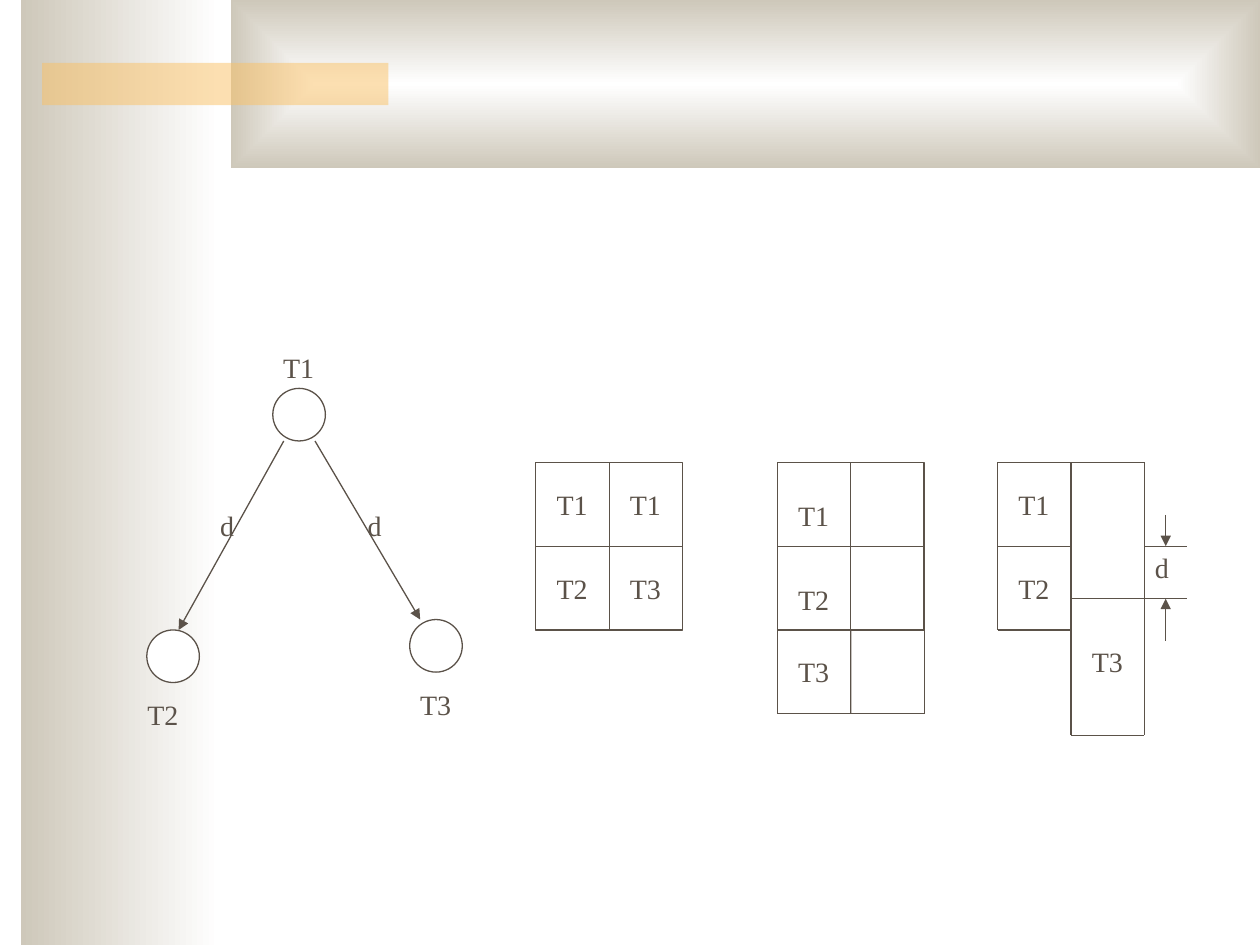
from pptx import Presentation
from pptx.dml.color import RGBColor
from pptx.enum.shapes import MSO_CONNECTOR, MSO_SHAPE
from pptx.enum.text import MSO_AUTO_SIZE
from pptx.oxml import parse_xml
from pptx.oxml.ns import nsdecls, qn
from pptx.oxml.xmlchemy import OxmlElement
from pptx.util import Cm, Pt

RECT = MSO_SHAPE.RECTANGLE
NODE = MSO_SHAPE.FLOWCHART_CONNECTOR
STRAIGHT = MSO_CONNECTOR.STRAIGHT
FIT_TEXT = MSO_AUTO_SIZE.SHAPE_TO_FIT_TEXT

WHITE = RGBColor(0xFF, 0xFF, 0xFF)
SAND = RGBColor(0xCE, 0xC8, 0xBA)
AMBER = RGBColor(0xFA, 0xC1, 0x64)
INK = RGBColor(0x5B, 0x52, 0x49)

FONT = "Times New Roman"
NODE_SIZE = 1.06
COL, ROW = 1.48, 1.69
PAD_X, PAD_Y = 0.17, 0.38
TOP, LEFT, BOTTOM, RIGHT = range(4)


def add_shape(s, kind, x, y, w, h):
    sp = s.shapes.add_shape(kind, Cm(x), Cm(y), Cm(w), Cm(h))
    sp.shadow.inherit = False
    sp.line.fill.background()
    return sp


def add_outlined(s, kind, x, y, w, h):
    sp = add_shape(s, kind, x, y, w, h)
    sp.fill.solid()
    sp.fill.fore_color.rgb = WHITE
    sp.line.color.rgb = INK
    sp.line.width = Pt(0.75)
    return sp


def add_line(s, x1, y1, x2, y2, arrow=False):
    cn = s.shapes.add_connector(STRAIGHT, Cm(x1), Cm(y1), Cm(x2), Cm(y2))
    cn.line.color.rgb = INK
    cn.line.width = Pt(0.75)
    if arrow:
        tail = OxmlElement("a:tailEnd")
        tail.set("type", "triangle")
        cn.line._get_or_add_ln().append(tail)
    cn._element.spPr.append(OxmlElement("a:effectLst"))
    return cn


def add_label(s, text, x, y):
    width = 1.16 if len(text) > 1 else 0.82
    tf = s.shapes.add_textbox(Cm(x), Cm(y), Cm(width), Cm(0.94)).text_frame
    tf.word_wrap = False
    tf.auto_size = FIT_TEXT
    r = tf.paragraphs[0].add_run()
    r.text = text
    r.font.name = FONT
    r.font.size = Pt(16)
    r.font.color.rgb = INK


def add_gradient(sp):
    sp.fill.gradient()
    sp.fill.gradient_angle = 180
    for stop, color in zip(sp.fill.gradient_stops, (WHITE, SAND)):
        stop.color.rgb = color


def add_backdrop(s, x, y, w, h):
    side = add_shape(s, RECT, x + 0.42, y, 4.02, h)
    add_gradient(side)

    banner = add_shape(s, RECT, x + 4.66, y, w - 4.66, 3.39)
    add_gradient(banner)
    grad = banner._element.spPr.find(qn("a:gradFill"))
    grad.replace(grad.find(qn("a:lin")), parse_xml(
        f'<a:path {nsdecls("a")} path="rect">'
        '<a:fillToRect l="50000" t="50000" r="50000" b="50000"/></a:path>'))

    bar = add_shape(s, RECT, x + 0.85, y + 1.27, 6.98, 0.85)
    bar.fill.solid()
    bar.fill.fore_color.rgb = AMBER
    alpha = OxmlElement("a:alpha")
    alpha.set("val", "50000")
    bar._element.spPr.find(qn("a:solidFill"))[0].append(alpha)


def add_tree(s, x, y):
    for dx, dy in ((2.78, 0.9), (5.54, 5.56), (0.24, 5.77)):
        add_outlined(s, NODE, x + dx, y + dy, NODE_SIZE, NODE_SIZE)
    for x1, x2, y2 in ((3, 0.88, 5.77), (3.63, 5.75, 5.56)):
        add_line(s, x + x1, y + 1.96, x + x2, y + y2, arrow=True)
    for text, dx, dy in (("T1", 2.74, 0.01), ("T2", 0, 7.01),
                         ("T3", 5.5, 6.8), ("d", 1.47, 3.2), ("d", 4.44, 3.2)):
        add_label(s, text, x + dx, y + dy)


def add_grid(s, x, y):
    box = add_outlined(s, RECT, x, y, 2 * COL, 2 * ROW)
    across = add_line(s, x, y + ROW, x + 2 * COL, y + ROW)
    across.begin_connect(box, LEFT)
    across.end_connect(box, RIGHT)
    down = add_line(s, x + COL, y, x + COL, y + 2 * ROW)
    down.begin_connect(box, TOP)
    down.end_connect(box, BOTTOM)
    return box


def add_parallel_schedule(s, x, y):
    add_grid(s, x, y)
    for row, texts in enumerate((("T1", "T1"), ("T2", "T3"))):
        for col, text in enumerate(texts):
            add_label(s, text, x + col * COL + PAD_X, y + row * ROW + PAD_Y)


def add_serial_schedule(s, x, y):
    box = add_grid(s, x, y)
    end = y + 3 * ROW
    for col in range(3):
        cn = add_line(s, x + col * COL, y + 2 * ROW, x + col * COL, end)
        if col == 1:
            cn.begin_connect(box, BOTTOM)
    add_line(s, x, end, x + 2 * COL, end)
    for text, dy in (("T1", 0.6), ("T2", ROW + 0.6), ("T3", 2 * ROW + PAD_Y)):
        add_label(s, text, x + PAD_X, y + dy)


def add_delayed_schedule(s, x, y):
    start, end, mark = 2.75, 5.5, 3.81
    for x1, x2, dy in ((0, 2 * COL, 0), (0, COL, ROW), (0, COL, 2 * ROW),
                       (COL, 2 * COL, start), (COL, 2 * COL, end),
                       (2 * COL, mark, ROW), (2 * COL, mark, start)):
        add_line(s, x + x1, y + dy, x + x2, y + dy)
    for dx, y2 in ((0, 2 * ROW), (COL, end), (2 * COL, end)):
        add_line(s, x + dx, y, x + dx, y + y2)
    for y1, y2 in ((1.06, ROW), (3.6, start)):
        add_line(s, x + 3.39, y + y1, x + 3.39, y + y2, arrow=True)
    for text, dx, dy in (("T1", PAD_X, PAD_Y), ("T2", PAD_X, ROW + PAD_Y),
                         ("T3", COL + PAD_X, 3.55), ("d", 2.92, 1.65)):
        add_label(s, text, x + dx, y + dy)


def main():
    prs = Presentation()
    prs.slide_width = Cm(25.4)
    prs.slide_height = Cm(19.05)
    s = prs.slides.add_slide(prs.slide_layouts[6])
    add_backdrop(s, 0, 0, 25.4, 19.05)
    add_tree(s, 2.72, 6.93)
    add_parallel_schedule(s, 10.8, 9.32)
    add_serial_schedule(s, 15.67, 9.32)
    add_delayed_schedule(s, 20.11, 9.32)
    prs.save("out.pptx")


if __name__ == "__main__":
    main()
